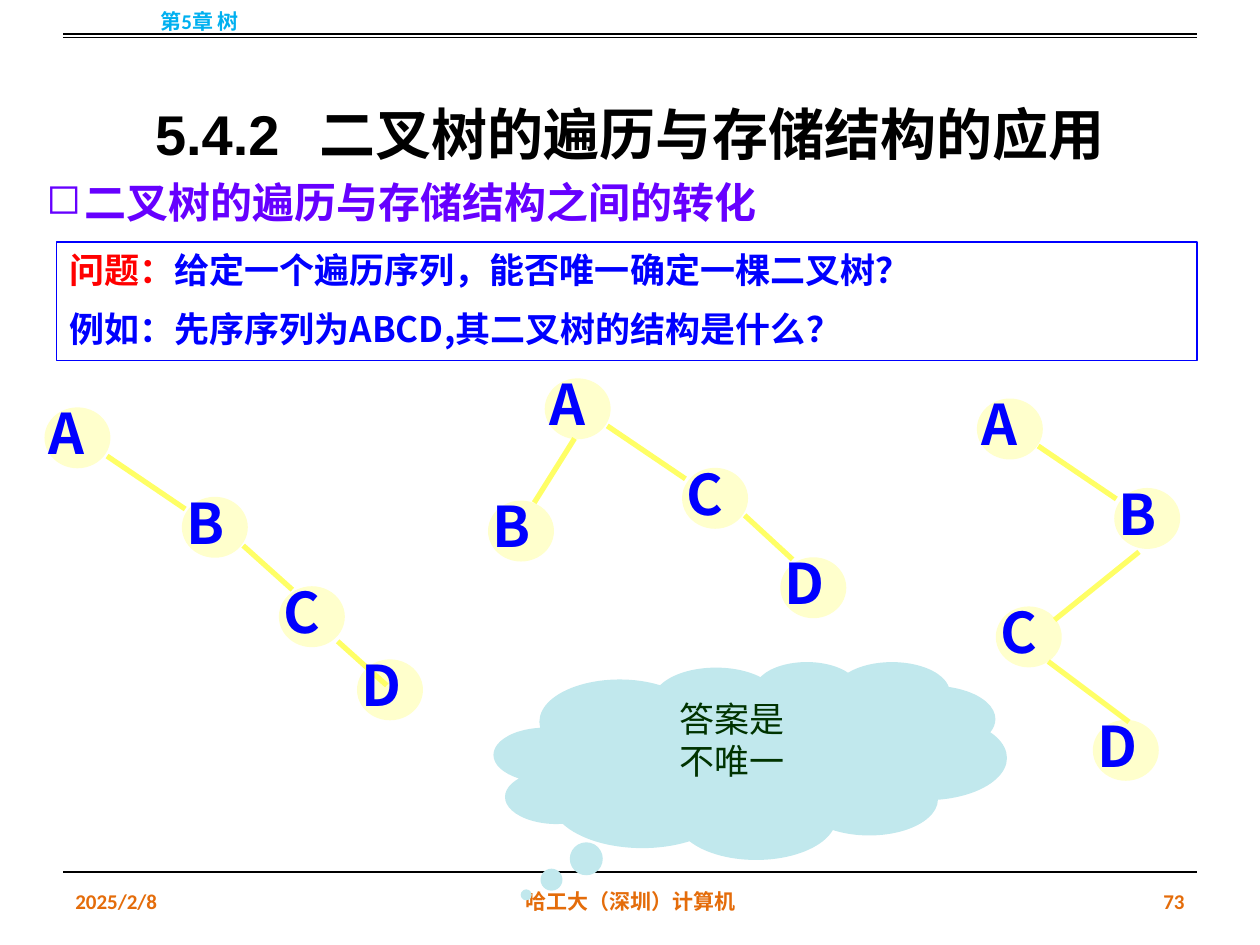
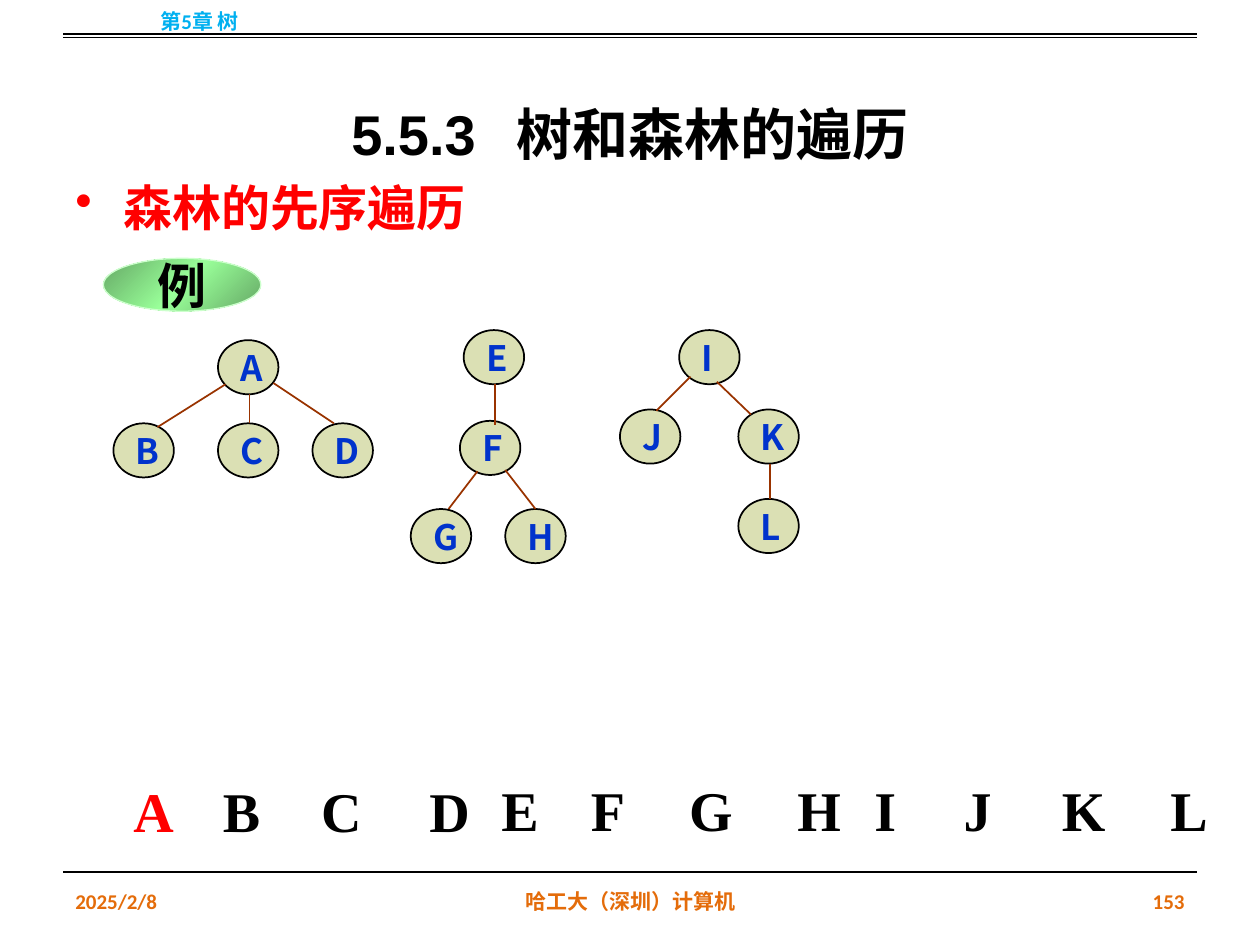
from copy import deepcopy

from lxml.etree import SubElement
from pptx import Presentation
from pptx.dml.color import RGBColor
from pptx.enum.shapes import MSO_CONNECTOR, MSO_SHAPE
from pptx.enum.text import MSO_ANCHOR, PP_ALIGN
from pptx.oxml.ns import qn
from pptx.util import Inches, Pt

COLORS = {
    "black": "000000", "red": "FF0000", "blue": "0000FF", "purple": "6600FF",
    "chapter": "00B0F0", "footer": "E46C0A", "cloud": "C1E8ED", "answer": "003300",
    "pale": "FFFFCC", "yellow": "FFFF66", "olive": "DBE0B4", "brown": "993300",
    "navy": "0033CC", "green": "65A865", "lime": "99FF99", "mint": "CCFFCC",
}
CJK = "Noto Sans CJK SC"
LEFT, CENTER, RIGHT = PP_ALIGN.LEFT, PP_ALIGN.CENTER, PP_ALIGN.RIGHT

TITLE = {"name": "Arial", "size": Pt(32), "bold": True}
FOOTER = {"name": "Calibri", "size": Pt(12), "bold": True}
HEADING = {"name": "Times New Roman", "size": Pt(24), "bold": True}
TOPIC = {"name": "Calibri", "size": Pt(28), "bold": True}
EXAMPLE = {"name": "Times New Roman", "size": Pt(28), "bold": True}
VISIT = {"name": "Times New Roman", "size": Pt(32), "bold": True}
QUESTION = {"name": CJK, "size": Pt(20), "bold": True}
ANSWER = {"name": CJK, "size": Pt(20), "bold": False}

# Node size, colours, and where the letter box sits relative to its node
BINARY = {"size": (0.51, 0.47), "fill": "pale", "outline": "pale", "edge": "yellow",
          "edge_width": 3, "letter": "blue", "letter_box": (-0.07, -0.13, 0.75, 0.64),
          "font": {"name": CJK, "size": Pt(32), "bold": True}}
FOREST = {"size": (0.48, 0.43), "fill": "olive", "outline": "black", "edge": "brown",
          "edge_width": 1, "letter": "navy", "letter_box": (0.08, 0, 0.48, 0.43),
          "font": QUESTION}

BINARY_TREES = [
    ({"A": (0.36, 3.24), "B": (1.45, 3.95), "C": (2.22, 4.66), "D": (2.84, 5.24)},
     [(0.85, 3.62, 1.47, 4.04), (1.93, 4.33, 2.32, 4.68), (2.68, 5.09, 3.07, 5.44)]),
    ({"A": (4.33, 3.01), "B": (3.88, 3.98), "C": (5.42, 3.72), "D": (6.2, 4.43)},
     [(4.56, 3.48, 4.24, 3.99), (4.82, 3.38, 5.44, 3.8), (5.91, 4.09, 6.29, 4.44)]),
    ({"A": (7.76, 3.17), "B": (8.85, 3.88), "C": (7.91, 4.82), "D": (8.68, 5.72)},
     [(8.24, 3.54, 8.86, 3.96), (9.04, 4.38, 8.37, 4.92), (8.32, 5.25, 8.96, 5.73)]),
]
FOREST_TREES = [
    ({"A": (1.73, 2.7), "B": (0.9, 3.36), "C": (1.73, 3.36), "D": (2.48, 3.36)},
     [(1.79, 3.05, 1.25, 3.39), (1.98, 3.13, 1.98, 3.36), (2.17, 3.04, 2.65, 3.36)]),
    ({"E": (3.68, 2.62), "F": (3.65, 3.34), "G": (3.26, 4.04), "H": (4.01, 4.04)},
     [(3.93, 3.05, 3.93, 3.37), (3.79, 3.74, 3.56, 4.04), (4.01, 3.73, 4.25, 4.04)]),
    ({"I": (5.39, 2.62), "J": (4.92, 3.25), "K": (5.86, 3.25), "L": (5.86, 3.96)},
     [(5.48, 2.99, 5.21, 3.26), (5.69, 3.03, 5.96, 3.29), (6.11, 3.68, 6.11, 3.96)]),
]
VISIT_ORDER = [("ABCD", 0.96, 6.11), ("EFGH", 3.88, 6.1), ("IJKL", 6.84, 6.1)]
VISIT_OFFSETS = (0, 0.71, 1.49, 2.35)


def rgb(name):
    return RGBColor.from_string(COLORS[name])


def add_run(p, text, fmt, color):
    r = p.add_run()
    r.text = text
    for key, value in fmt.items():
        setattr(r.font, key, value)
    r.font.color.rgb = rgb(color)
    SubElement(r._r.get_or_add_rPr(), qn("a:ea")).set("typeface", CJK)
    return r


def format_paragraph(p, align=LEFT, **spacing):
    p.alignment = align
    for key, value in spacing.items():
        setattr(p, key, value)


def add_bullet(p, char, indent):
    pPr = p._p.get_or_add_pPr()
    pPr.set("marL", str(Inches(indent)))
    pPr.set("indent", str(-Inches(indent)))
    SubElement(pPr, qn("a:buChar")).set("char", char)


def add_text(shapes, box, text, fmt, color, align=LEFT, anchor=MSO_ANCHOR.MIDDLE,
             wrap=True):
    tf = shapes.add_textbox(*map(Inches, box)).text_frame
    tf.word_wrap = wrap
    tf.vertical_anchor = anchor
    p = tf.paragraphs[0]
    p.alignment = align
    add_run(p, text, fmt, color)
    return p


def add_shape(shapes, kind, box, fill=None, outline=None, width=0.75):
    sp = shapes.add_shape(kind, *map(Inches, box))
    sp.shadow.inherit = False
    if fill:
        sp.fill.solid()
        sp.fill.fore_color.rgb = rgb(fill)
    else:
        sp.fill.background()
    if outline:
        sp.line.color.rgb = rgb(outline)
        sp.line.width = Pt(width)
    else:
        sp.line.fill.background()
    return sp


def add_line(shapes, ends, color="black", width=0.75):
    line = shapes.add_connector(MSO_CONNECTOR.STRAIGHT, *map(Inches, ends))
    line.line.color.rgb = rgb(color)
    line.line.width = Pt(width)
    SubElement(line._element.spPr, qn("a:effectLst"))


def add_tree(s, nodes, edges, style):
    shapes = s.shapes.add_group_shape().shapes
    for spot in nodes.values():
        add_shape(shapes, MSO_SHAPE.OVAL, spot + style["size"],
                  style["fill"], style["outline"], 1)
    for ends in edges:
        add_line(shapes, ends, style["edge"], style["edge_width"])
    dx, dy, w, h = style["letter_box"]
    for letter, (x, y) in nodes.items():
        add_text(shapes, (x + dx, y + dy, w, h), letter, style["font"], style["letter"],
                 wrap=False)


def add_framed_slide(prs, section, title, number):
    """Add a slide with its title, chapter mark, rules and footer."""
    s = prs.slides.add_slide(prs.slide_layouts[6])
    p = add_text(s.shapes, (0.5, 0.3, 9, 1.25), section, TITLE, "black")
    gap = add_run(p, " ", TITLE, "black")
    gap._r.get_or_add_rPr().set("spc", "1400")
    add_run(p, title, TITLE, "black")
    format_paragraph(p, CENTER, line_spacing=1.5, space_after=Pt(1.6))
    for x, w, text, align in ((0.5, 2.33, "2025/2/8", LEFT),
                              (3.42, 3.17, "哈工大（深圳）计算机", CENTER),
                              (7.17, 2.33, number, RIGHT)):
        add_text(s.shapes, (x, 6.95, w, 0.4), text, FOOTER, "footer", align)
    for y in (0.27, 0.3, 6.92):
        add_line(s.shapes, (0.5, y, 9.5, y))
    add_text(s.shapes, (0, -0.03, 3.17, 0.4), "第5章 树", FOOTER, "chapter", CENTER)
    return s


def add_question(s):
    sp = add_shape(s.shapes, MSO_SHAPE.RECTANGLE, (0.45, 1.92, 9.05, 0.94),
                   outline="blue")
    tf = sp.text_frame
    tf.word_wrap = True
    tf.vertical_anchor = MSO_ANCHOR.TOP
    p = tf.paragraphs[0]
    format_paragraph(p, line_spacing=Pt(24))
    add_run(p, "问题：", QUESTION, "red")
    add_run(p, "给定一个遍历序列，能否唯一确定一棵二叉树？", QUESTION, "blue")
    p = tf.add_paragraph()
    format_paragraph(p, line_spacing=Pt(24), space_before=Pt(10))
    add_run(p, "例如：先序序列为ABCD,其二叉树的结构是什么？", QUESTION, "blue")


def add_answer_cloud(s):
    sp = add_shape(s.shapes, MSO_SHAPE.CLOUD_CALLOUT, (3.92, 5.25, 4.07, 1.57), "cloud")
    sp.adjustments[0], sp.adjustments[1] = -0.437, 0.68
    tf = sp.text_frame
    tf.word_wrap = True
    tf.vertical_anchor = MSO_ANCHOR.TOP
    for i, text in enumerate(("答案是", "不唯一")):
        p = tf.add_paragraph() if i else tf.paragraphs[0]
        format_paragraph(p, CENTER, line_spacing=Pt(24))
        add_run(p, text, ANSWER, "answer")


def add_example_badge(s):
    sp = add_shape(s.shapes, MSO_SHAPE.OVAL, (0.82, 2.05, 1.25, 0.42), "green", "mint")
    sp.fill.gradient()
    sp.fill.gradient_angle = 315
    edge, middle = sp.fill.gradient_stops
    edge.color.rgb, edge.position = rgb("green"), 0
    middle.color.rgb, middle.position = rgb("lime"), 0.5
    stops = sp._element.spPr.find(".//" + qn("a:gsLst"))
    last = deepcopy(stops[0])
    last.set("pos", "100000")
    stops.append(last)
    tf = sp.text_frame
    tf.word_wrap = False
    tf.vertical_anchor = MSO_ANCHOR.MIDDLE
    p = tf.paragraphs[0]
    p.alignment = CENTER
    add_run(p, "例", EXAMPLE, "black")


def add_visit_order(s):
    for letters, left, top in VISIT_ORDER:
        for letter, offset in zip(letters, VISIT_OFFSETS):
            add_text(s.shapes, (left + offset, top, 0.55, 0.64), letter, VISIT,
                     "red" if letter == "A" else "black", wrap=False)


def add_conversion_slide(prs):
    s = add_framed_slide(prs, "5.4.2", "二叉树的遍历与存储结构的应用", "73")
    add_question(s)
    add_answer_cloud(s)
    for nodes, edges in BINARY_TREES:
        add_tree(s, nodes, edges, BINARY)
    p = add_text(s.shapes, (0.27, 1.35, 5.92, 0.5), "二叉树的遍历与存储结构之间的转化",
                 HEADING, "purple", wrap=False)
    add_bullet(p, "◻", 0.3)


def add_forest_slide(prs):
    s = add_framed_slide(prs, "5.5.3", "树和森林的遍历", "153")
    p = add_text(s.shapes, (0.5, 1.33, 9, 0.6), "森林的先序遍历", TOPIC, "red",
                 anchor=MSO_ANCHOR.TOP)
    format_paragraph(p, line_spacing=Pt(36))
    add_bullet(p, "•", 0.38)
    for nodes, edges in FOREST_TREES:
        add_tree(s, nodes, edges, FOREST)
    add_example_badge(s)
    add_visit_order(s)


def main():
    prs = Presentation()
    prs.slide_width, prs.slide_height = Inches(10), Inches(7.5)
    add_conversion_slide(prs)
    add_forest_slide(prs)
    prs.save("out.pptx")


if __name__ == "__main__":
    main()
